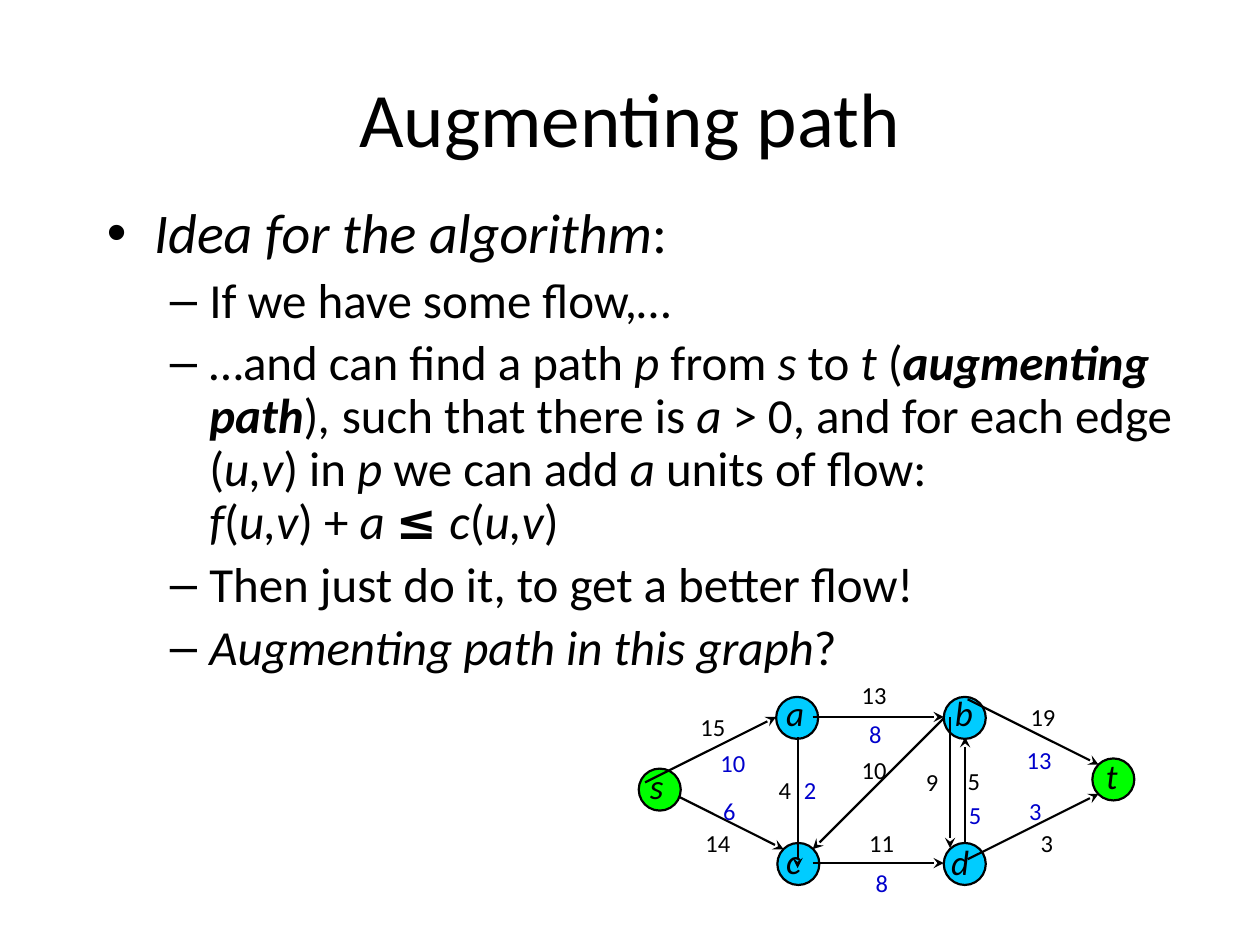
from collections import namedtuple
from dataclasses import dataclass

from lxml.etree import SubElement
from pptx import Presentation
from pptx.dml.color import RGBColor
from pptx.enum.shapes import MSO_CONNECTOR, MSO_SHAPE
from pptx.enum.text import MSO_ANCHOR, PP_ALIGN
from pptx.oxml.ns import qn
from pptx.util import Pt


@dataclass(frozen=True)
class Theme:
    font: str = "Calibri"
    symbol_font: str = "Noto Sans"
    bullet_font: str = "Arial"
    ink: RGBColor = RGBColor(0x00, 0x00, 0x00)
    flow: RGBColor = RGBColor(0x00, 0x00, 0xCC)
    inner: RGBColor = RGBColor(0x00, 0xCC, 0xFF)
    terminal: RGBColor = RGBColor(0x00, 0xFF, 0x00)
    title: int = 44
    levels: tuple = (32, 28)
    node: int = 20
    weight: int = 14
    line: float = 1.25


THEME = Theme()
Box = namedtuple("Box", "x y w h")
Level = namedtuple("Level", "bullet margin hang before")
Node = namedtuple("Node", "name x y fill label_dx label_dy label_w")
Edge = namedtuple("Edge", "start end capacity flow")
Weight = namedtuple("Weight", "text x y")

LEVELS = (Level("•", 27, 27, 0), Level("–", 58.5, 22.5, 5.6))

# Each paragraph is a level and its runs; style letters: i italic, b bold, s symbol font
BODY = [
    (0, [("Idea for the algorithm", "i"), (":", "")]),
    (1, [("If we have some flow,…", "")]),
    (1, [("…and can find a path ", ""), ("p ", "i"), ("from ", ""), ("s", "i"),
         (" to ", ""), ("t ", "i"), ("(", ""), ("augmenting path", "bi"), (")", ""),
         (", ", "i"), ("such that there is ", ""), ("a", "i"),
         (" > 0, and for each edge (", ""), ("u,v", "i"), (") in ", ""), ("p ", "i"),
         ("we can add ", ""), ("a ", "i"), ("units of flow: ", ""), ("\n", ""),
         ("f", "i"), ("(", ""), ("u,v", "i"), (") + ", ""), ("a ", "i"),
         ("≤ ", "bs"), ("c", "i"), ("(", ""), ("u,v", "i"), (")", "")]),
    (1, [("Then just do it, to get a better flow!", "")]),
    (1, [("Augmenting path in this graph", "i"), ("?", "")]),
]

# Graph positions are relative to the graph's box
NODE_SIZE = 24
NODES = [
    Node("a", 83.5, 14.2, THEME.inner, -1.4, -6.5, 26.6),
    Node("b", 179.3, 14.2, THEME.inner, -0.7, -6.5, 27.4),
    Node("c", 84.2, 97.7, THEME.inner, -2.1, -5.8, 25.2),
    Node("d", 179.3, 97.7, THEME.inner, -2.9, -5, 27.4),
    Node("s", 5, 55.2, THEME.terminal, -0.7, -5.8, 25.2),
    Node("t", 264.2, 49.4, THEME.terminal, 0.7, -5.8, 22.3),
]
EDGES_BEHIND = [
    Edge((191.5, 112.1), (191.5, 37.2), Weight("5", 185.8, 50.2), Weight("5", 186.5, 69.6)),
    Edge((13, 63.8), (87.8, 101.3), Weight("14", 36, 85.4), Weight("6", 46.1, 67.4)),
]
EDGES_FRONT = [
    Edge((104.4, 25.7), (179.3, 25.7), Weight("13", 125.3, 1.2), Weight("8", 129.6, 23.5)),
    Edge((104.4, 109.2), (179.3, 109.2), Weight("11", 129.6, 85.4), Weight("8", 133.2, 108.5)),
    Edge((95.8, 37.2), (95.8, 112.1), Weight("4", 77.8, 55.2), Weight("2", 92.2, 55.2)),
    Edge((8.6, 63.1), (83.5, 25.7), Weight("15", 33.1, 19.2), Weight("10", 44.6, 40.1)),
    Edge((179.3, 26.4), (104.4, 101.3), Weight("10", 125.3, 43.7), None),
    Edge((182.9, 25.7), (182.9, 100.6), Weight("9", 162, 50.9), None),
    Edge((193, 15.6), (267.8, 53), Weight("19", 221.8, 13.4), Weight("13", 219.6, 37.9)),
    Edge((193, 107), (267.8, 69.6), Weight("3", 227.5, 85.4), Weight("3", 221, 67.4)),
]


def add_run(p, text, size, color=THEME.ink, style=""):
    r = p.add_run()
    r.text = text
    r.font.size = Pt(size)
    r.font.name = THEME.symbol_font if "s" in style else THEME.font
    r.font.color.rgb = color
    r.font.italic = "i" in style
    r.font.bold = "b" in style


def add_text_frame(s, box, wrap=True):
    tf = s.shapes.add_textbox(*map(Pt, box)).text_frame
    tf.word_wrap = wrap
    return tf


def add_label(s, box, text, size, color=THEME.ink, style=""):
    tf = add_text_frame(s, box, wrap=False)
    add_run(tf.paragraphs[0], text, size, color, style)


def add_title(s, box):
    tf = add_text_frame(s, box)
    tf.vertical_anchor = MSO_ANCHOR.MIDDLE
    p = tf.paragraphs[0]
    p.alignment = PP_ALIGN.CENTER
    add_run(p, "Augmenting path", THEME.title)


def format_bullet(p, level):
    p.line_spacing = 0.9
    p.space_before = Pt(level.before)
    pPr = p._p.get_or_add_pPr()
    pPr.set("marL", str(Pt(level.margin)))
    pPr.set("indent", str(-Pt(level.hang)))
    SubElement(pPr, qn("a:buFont"), typeface=THEME.bullet_font)
    SubElement(pPr, qn("a:buChar"), char=level.bullet)


def add_body(s, box):
    tf = add_text_frame(s, box)
    for i, (depth, runs) in enumerate(BODY):
        p = tf.add_paragraph() if i else tf.paragraphs[0]
        p.level = depth
        format_bullet(p, LEVELS[depth])
        for text, style in runs:
            if text == "\n":
                p.add_line_break()
            else:
                add_run(p, text, THEME.levels[depth], style=style)


def add_edge(s, box, edge):
    (x1, y1), (x2, y2) = edge.start, edge.end
    ends = (box.x + x1, box.y + y1, box.x + x2, box.y + y2)
    c = s.shapes.add_connector(MSO_CONNECTOR.STRAIGHT, *map(Pt, ends))
    c.line.color.rgb = THEME.ink
    c.line.width = Pt(THEME.line)
    SubElement(c.line._get_or_add_ln(), qn("a:tailEnd"), type="stealth")
    SubElement(c._element.spPr, qn("a:effectLst"))


def add_node(s, box, node):
    bounds = (box.x + node.x, box.y + node.y, NODE_SIZE, NODE_SIZE)
    sp = s.shapes.add_shape(MSO_SHAPE.OVAL, *map(Pt, bounds))
    sp.shadow.inherit = False
    sp.fill.solid()
    sp.fill.fore_color.rgb = node.fill
    sp.line.color.rgb = THEME.ink
    sp.line.width = Pt(THEME.line)


def add_weight(s, box, weight, color):
    width = 13.7 + 9.3 * len(weight.text)
    bounds = Box(box.x + weight.x, box.y + weight.y, width, 24)
    add_label(s, bounds, weight.text, THEME.weight, color)


def add_flow_graph(s, box):
    for edge in EDGES_BEHIND:
        add_edge(s, box, edge)
    for node in NODES:
        add_node(s, box, node)
    for edge in EDGES_FRONT:
        add_edge(s, box, edge)
    for node in NODES:
        bounds = Box(box.x + node.x + node.label_dx, box.y + node.y + node.label_dy,
                     node.label_w, 31)
        add_label(s, bounds, node.name, THEME.node, style="i")
    for edge in EDGES_BEHIND + EDGES_FRONT:
        add_weight(s, box, edge.capacity, THEME.ink)
        if edge.flow:
            add_weight(s, box, edge.flow, THEME.flow)


def main():
    prs = Presentation()
    prs.slide_width, prs.slide_height = Pt(720), Pt(540)
    s = prs.slides.add_slide(prs.slide_layouts[6])
    add_title(s, Box(36, 21.6, 648, 90))
    add_body(s, Box(54, 113.8, 656.6, 293.8))
    add_flow_graph(s, Box(360, 384, 290, 132))
    prs.save("out.pptx")


if __name__ == "__main__":
    main()
